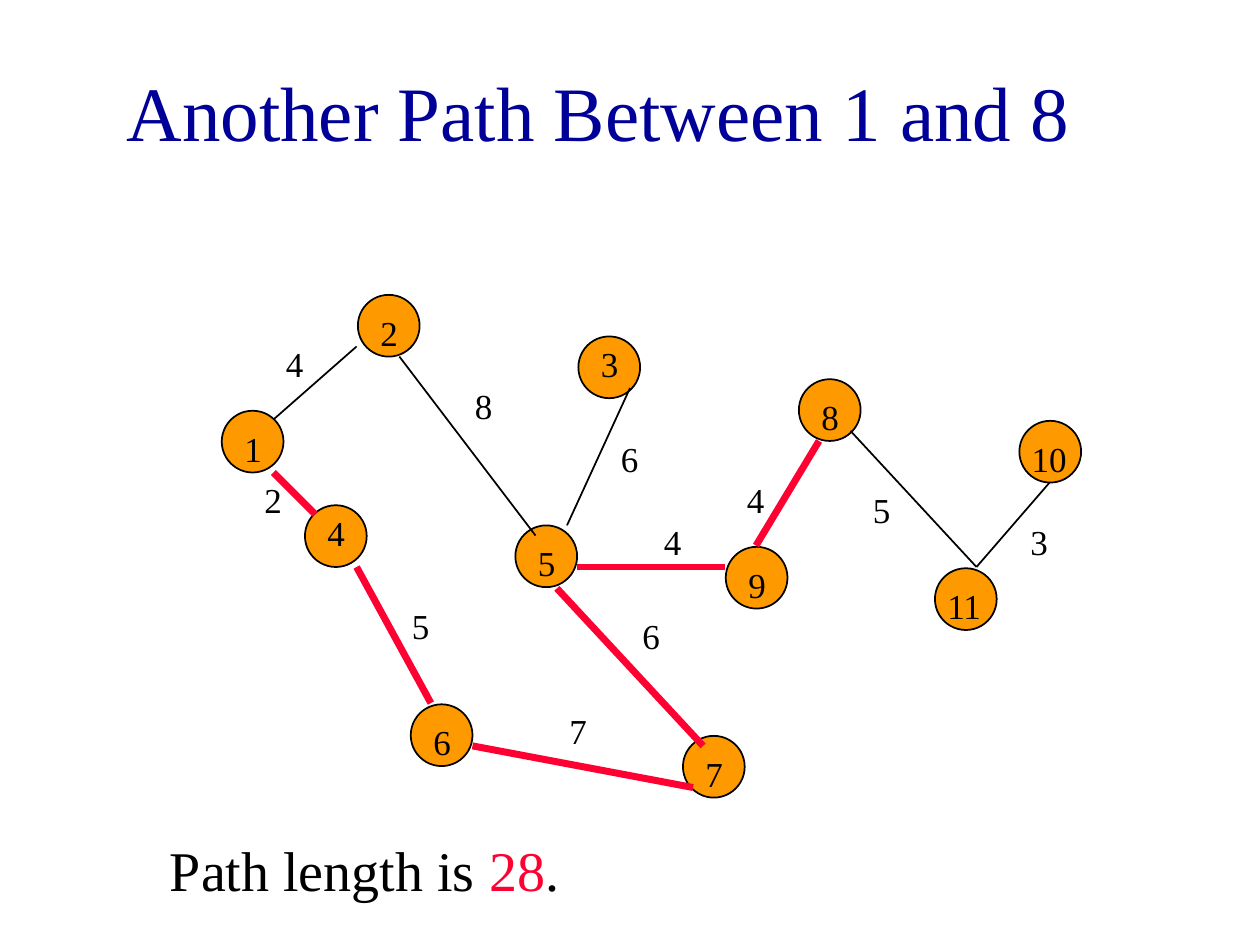
from lxml import etree
from pptx import Presentation
from pptx.dml.color import RGBColor
from pptx.enum.shapes import MSO_CONNECTOR, MSO_SHAPE
from pptx.enum.text import MSO_ANCHOR, PP_ALIGN
from pptx.oxml.ns import qn
from pptx.util import Inches, Pt

OVAL = MSO_SHAPE.OVAL
STRAIGHT = MSO_CONNECTOR.STRAIGHT
MIDDLE = MSO_ANCHOR.MIDDLE
CENTER = PP_ALIGN.CENTER

FONT = "Times New Roman"
COLORS = {"title": "000099", "node": "FF9900", "ink": "000000", "route": "FF0033"}
NODE_SIZE = 0.49
LABEL_HEIGHT = 0.43


def color(name):
    return RGBColor.from_string(COLORS[name])


def add_text(left, top, width, height, size, pieces):
    box = page.shapes.add_textbox(Inches(left), Inches(top), Inches(width), Inches(height))
    box.text_frame.word_wrap = True
    para = box.text_frame.paragraphs[0]
    for words, tone in pieces:
        span = para.add_run()
        span.text = words
        span.font.name = FONT
        span.font.size = Pt(size)
        span.font.color.rgb = color(tone)
    return box


deck = Presentation()
deck.slide_width = Inches(10)
deck.slide_height = Inches(7.5)
page = deck.slides.add_slide(deck.slide_layouts[6])

title = add_text(0.5, 0.25, 8.5, 1.25, 44, [("Another Path Between 1 and 8", "title")])
title.text_frame.vertical_anchor = MIDDLE
title.text_frame.paragraphs[0].alignment = CENTER

# name, left, top, label shift right, label shift down, label width
nodes = [
    ("1", 1.76, 3.26, 0.08, 0.08, 0.25),
    ("2", 2.84, 2.34, 0.08, 0.08, 0.25),
    ("3", 4.59, 2.67, 0.08, 0, 0.25),
    ("8", 6.34, 3.01, 0.08, 0.08, 0.25),
    ("10", 8.09, 3.34, 0, 0.08, 0.5),
    ("4", 2.42, 4.01, 0.08, 0, 0.25),
    ("5", 4.09, 4.17, 0.08, 0.08, 0.25),
    ("9", 5.76, 4.34, 0.08, 0.08, 0.25),
    ("11", 7.42, 4.51, 0, 0.08, 0.83),
    ("6", 3.26, 5.59, 0.08, 0.08, 0.25),
    ("7", 5.42, 5.84, 0.08, 0.08, 0.25),
]
for name, left, top, shift_x, shift_y, width in nodes:
    node = page.shapes.add_shape(
        OVAL, Inches(left), Inches(top), Inches(NODE_SIZE), Inches(NODE_SIZE)
    )
    node.shadow.inherit = False
    node.fill.solid()
    node.fill.fore_color.rgb = color("node")
    node.line.color.rgb = color("ink")
    node.line.width = Pt(1)

edges = [
    ("4", (2.83, 2.75), (2.17, 3.33), (2.17, 2.67), False),
    ("8", (3.17, 2.83), (4.25, 4.25), (3.67, 3), False),
    ("6", (5, 3.08), (4.5, 4.17), (4.83, 3.42), False),
    ("5", (6.75, 3.42), (7.75, 4.5), (6.83, 3.83), False),
    ("3", (7.75, 4.5), (8.33, 3.83), (8.08, 4.08), False),
    ("2", (2.17, 3.75), (2.5, 4.08), (2, 3.75), True),
    ("5", (2.83, 4.5), (3.42, 5.58), (3.17, 4.75), True),
    ("7", (3.75, 5.92), (5.5, 6.25), (4.42, 5.58), True),
    ("6", (4.42, 4.67), (5.58, 5.92), (5, 4.83), True),
    ("4", (4.58, 4.5), (5.75, 4.5), (5.17, 4.08), True),
    ("4", (6.5, 3.5), (6, 4.33), (5.83, 3.75), True),
]
for weight, start, end, label, on_route in edges:
    edge = page.shapes.add_connector(STRAIGHT, *[Inches(v) for v in start + end])
    edge.line.color.rgb = color("route" if on_route else "ink")
    edge.line.width = Pt(4 if on_route else 1)
    etree.SubElement(edge._element.spPr, qn("a:effectLst"))
    add_text(*label, 0.33, LABEL_HEIGHT, 20, [(weight, "ink")])

for name, left, top, shift_x, shift_y, width in nodes:
    add_text(left + shift_x, top + shift_y, width, LABEL_HEIGHT, 20, [(name, "ink")])

add_text(
    1.25, 6.58, 7.25, 0.63, 32,
    [("Path length is ", "ink"), ("28", "route"), (".", "ink")],
)

deck.save("out.pptx")
